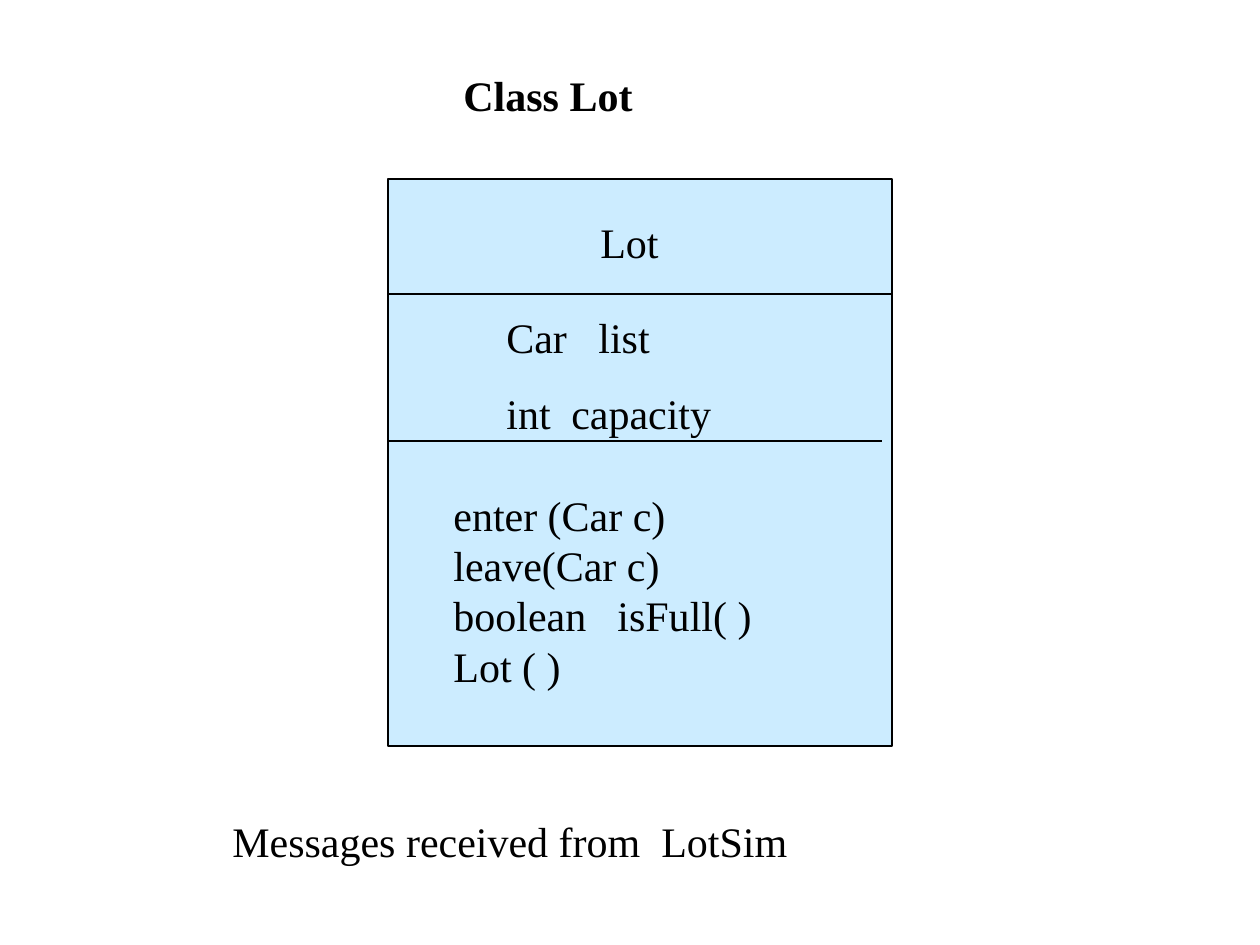
from lxml.etree import SubElement
from pptx import Presentation
from pptx.dml.color import RGBColor
from pptx.enum.shapes import MSO_CONNECTOR, MSO_SHAPE
from pptx.enum.text import MSO_AUTO_SIZE
from pptx.oxml.ns import qn
from pptx.util import Emu, Pt

EMU_PER_PX = 914400 // 126
COLORS = {"ink": "000000", "class_fill": "CCECFF"}
FONT = {"name": "Times New Roman", "size": Pt(24)}
FRAME = {"word_wrap": True, "auto_size": MSO_AUTO_SIZE.SHAPE_TO_FIT_TEXT}


def px(*lengths):
    """Turn pixel lengths into EMU."""
    return [Emu(length * EMU_PER_PX) for length in lengths]


def color(name):
    """Look up a named colour."""
    return RGBColor.from_string(COLORS[name])


def apply(target, values):
    """Set each named attribute on the target."""
    for name, value in values.items():
        setattr(target, name, value)


def set_line(shape):
    """Give a shape or connector the thin black line."""
    shape.line.color.rgb = color("ink")
    shape.line.width = Pt(0.75)


def add_class_box(slide, box):
    """Draw the filled outline of the class diagram."""
    shape = slide.shapes.add_shape(MSO_SHAPE.RECTANGLE, *px(*box))
    shape.shadow.inherit = False
    shape.fill.solid()
    shape.fill.fore_color.rgb = color("class_fill")
    set_line(shape)


def add_divider(slide, left, right, y):
    """Draw a horizontal rule between two compartments."""
    connector = slide.shapes.add_connector(MSO_CONNECTOR.STRAIGHT, *px(left, y, right, y))
    set_line(connector)
    SubElement(connector._element.spPr, qn("a:effectLst"))


def add_tab_stop(paragraph, position):
    """Add one left tab stop to a paragraph."""
    tabs = SubElement(paragraph._p.get_or_add_pPr(), qn("a:tabLst"))
    SubElement(tabs, qn("a:tab"), pos=str(px(position)[0]), algn="l")


def add_text(slide, box, lines, space_before=0, bold=False):
    """Add a text box from (text, tab position) lines."""
    frame = slide.shapes.add_textbox(*px(*box)).text_frame
    apply(frame, FRAME)
    for index, (text, tab) in enumerate(lines):
        paragraph = frame.add_paragraph() if index else frame.paragraphs[0]
        paragraph.space_before = Pt(space_before)
        if tab:
            add_tab_stop(paragraph, tab)
        run = paragraph.add_run()
        run.text = text
        apply(run.font, {**FONT, "bold": bold})
        run.font.color.rgb = color("ink")


def main():
    """Build the class diagram slide."""
    presentation = Presentation()
    presentation.slide_width, presentation.slide_height = px(1260, 945)
    slide = presentation.slides.add_slide(presentation.slide_layouts[6])

    add_class_box(slide, (388, 179, 504, 567))
    add_text(slide, (588, 210, 87, 63), [("Lot", None)])
    add_divider(slide, 388, 892, 294)
    attributes = [("Car\tlist", 92), ("int\tcapacity", 65)]
    add_text(slide, (494, 305, 357, 140), attributes, space_before=15)
    add_divider(slide, 388, 882, 441)
    methods = [("enter (Car c)", None), ("leave(Car c)", None),
               ("boolean\tisFull( )", 164), ("Lot ( )", None)]
    add_text(slide, (441, 483, 399, 214), methods)
    add_text(slide, (451, 63, 325, 63), [("Class Lot", None)], space_before=15, bold=True)
    caption = [("Messages received from\tLotSim", 429)]
    add_text(slide, (220, 809, 861, 63), caption, space_before=15)

    presentation.save("out.pptx")


if __name__ == "__main__":
    main()
